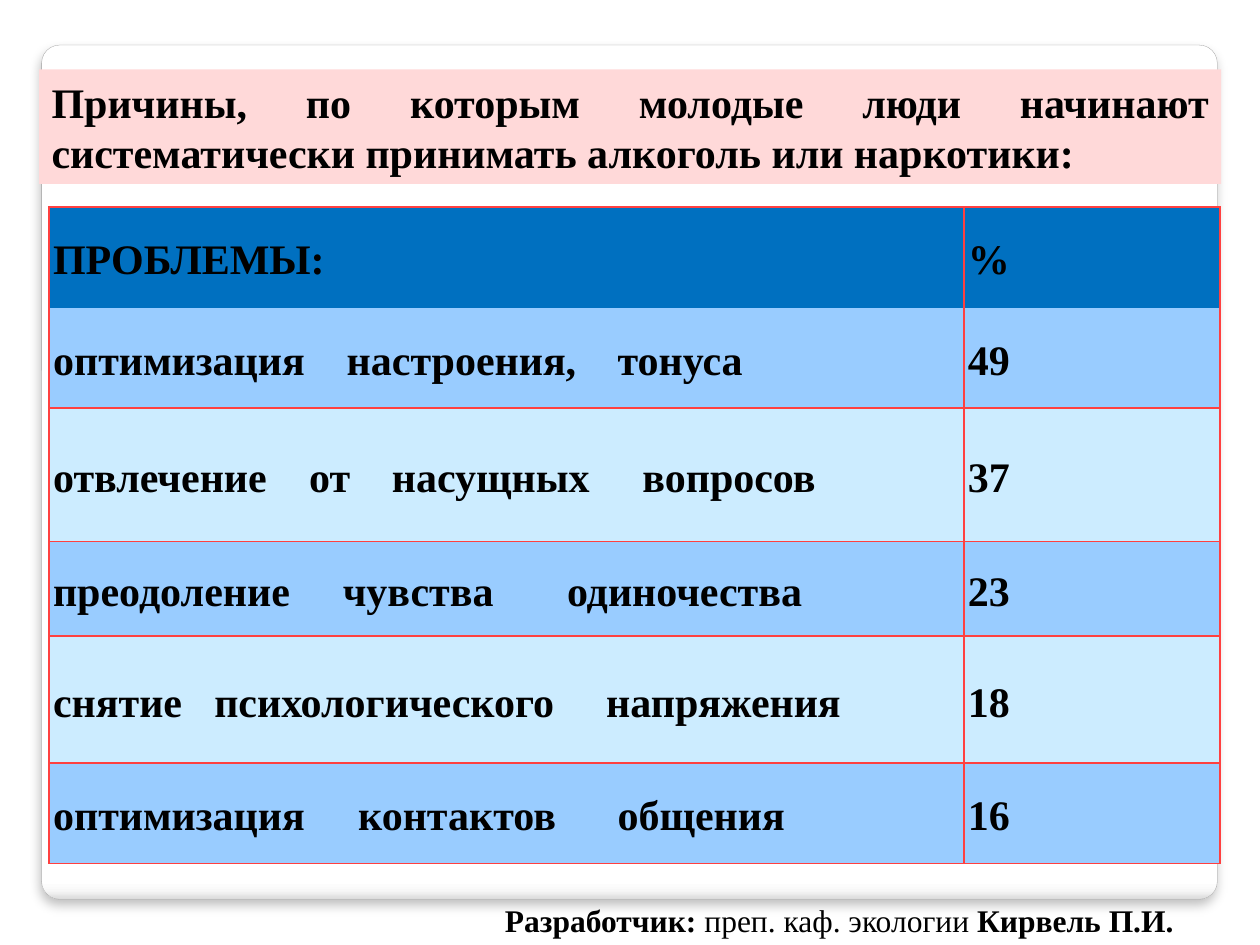
import dataclasses

import pptx
import pptx.dml.color
import pptx.enum.shapes
import pptx.enum.text
import pptx.oxml
import pptx.oxml.ns
import pptx.util
from pptx.util import Cm

NS = pptx.oxml.ns.nsdecls("a")
ANCHOR = pptx.enum.text.MSO_ANCHOR
KIND = pptx.enum.shapes.MSO_SHAPE
RED = "FF4040"
HEAD, DARK, LIGHT = "0070C0", "99CCFF", "CCECFF"


@dataclasses.dataclass
class Row:
    words: str
    share: str
    height: float
    stops: tuple = ()


# Words are set apart by tabs; stops are in centimetres
ROWS = [
    Row("ПРОБЛЕМЫ:", "%", 2.03),
    Row("оптимизация\tнастроения,\tтонуса", "49", 2.03, (5.92, 11.38)),
    Row("отвлечение\tот\tнасущных\tвопросов", "37", 2.69, (5.16, 6.83, 11.88)),
    Row("преодоление\tчувства\tодиночества", "23", 1.9, (5.84, 10.36)),
    Row("снятие\tпсихологического\tнапряжения", "18", 2.56, (3.25, 11.15)),
    Row("оптимизация\tконтактов\tобщения", "16", 2.03, (6.15, 11.38)),
]


def color(code: str):
    return pptx.dml.color.RGBColor.from_string(code)


def paint(item, code: str) -> None:
    item.fill.solid()
    item.fill.fore_color.rgb = color(code)


def write(part, text: str, *, size=24, bold=True, tint="000000") -> None:
    """Add a formatted run to a paragraph."""
    run = part.add_run()
    run.text = text
    run.font.name = "Times New Roman"
    run.font.size = pptx.util.Pt(size)
    run.font.bold = bold
    run.font.color.rgb = color(tint)


def edge(cell, side: str, shown: bool) -> None:
    fill = (f'<a:solidFill><a:srgbClr val="{RED}"/></a:solidFill>'
            if shown else "<a:noFill/>")
    cell._tc.get_or_add_tcPr().append(pptx.oxml.parse_xml(
        f'<a:ln{side} {NS} w="12700">{fill}</a:ln{side}>'))


def set_tabs(part, stops: tuple) -> None:
    marks = "".join(f'<a:tab pos="{Cm(stop)}" algn="l"/>' for stop in stops)
    part._p.get_or_add_pPr().append(
        pptx.oxml.parse_xml(f"<a:tabLst {NS}>{marks}</a:tabLst>"))


def draw_cell(cell, text: str, back: str, bare: str, stops: tuple) -> None:
    """Fill one cell; the side named by bare gets no border."""
    for side in "LRTB":
        edge(cell, side, side != bare)
    paint(cell, back)
    cell.vertical_anchor = ANCHOR.MIDDLE
    cell.margin_left = cell.margin_right = Cm(0.08)
    cell.margin_top = cell.margin_bottom = Cm(0.08)
    part = cell.text_frame.paragraphs[0]
    if stops:
        set_tabs(part, stops)
    part.line_spacing = 1.15
    part.space_after = pptx.util.Pt(10)
    write(part, text)


def draw_panel(slide) -> None:
    panel = slide.shapes.add_shape(
        KIND.ROUNDED_RECTANGLE, Cm(0.84), Cm(0.91), Cm(23.7), Cm(17.22))
    panel.adjustments[0] = 0.021
    panel.line.color.rgb = color("A4A4A4")
    panel.line.width = pptx.util.Pt(0.16)
    stops = [(0, "FFFFFF"), (98, "FFFFFF"), (99, "F7F7F7"), (100, "DADADA")]
    marks = "".join(f'<a:gs pos="{at * 1000}"><a:srgbClr val="{code}"/></a:gs>'
                    for at, code in stops)
    props = panel._element.spPr
    props.find(pptx.oxml.ns.qn("a:ln")).addprevious(pptx.oxml.parse_xml(
        f'<a:gradFill {NS}><a:gsLst>{marks}</a:gsLst>'
        '<a:lin ang="5400000" scaled="0"/></a:gradFill>'))
    props.append(pptx.oxml.parse_xml(
        f'<a:effectLst {NS}><a:outerShdw blurRad="76200" dist="50800" '
        'dir="5400000" rotWithShape="0"><a:srgbClr val="000000">'
        '<a:alpha val="25000"/></a:srgbClr></a:outerShdw></a:effectLst>'))


def draw_foot(slide) -> None:
    box = slide.shapes.add_textbox(Cm(9.93), Cm(18.03), Cm(14.1), Cm(1.02))
    frame = box.text_frame
    frame.word_wrap = True
    frame.margin_right = 0
    part = frame.paragraphs[0]
    write(part, "Разработчик:", size=18)
    write(part, " преп. каф. экологии ", size=18, bold=False)
    write(part, "Кирвель П.И.", size=18)


def draw_title(slide) -> None:
    band = slide.shapes.add_shape(
        KIND.RECTANGLE, Cm(0.79), Cm(1.4), Cm(23.83), Cm(2.31))
    band.shadow.inherit = False
    paint(band, "FFD9D9")
    band.line.fill.background()
    frame = band.text_frame
    frame.word_wrap = True
    frame.vertical_anchor = ANCHOR.MIDDLE
    part = frame.paragraphs[0]
    part.alignment = pptx.enum.text.PP_ALIGN.JUSTIFY
    write(part, "Причины, по которым молодые люди начинают "
                "систематически принимать алкоголь или наркотики:")


def draw_table(slide) -> None:
    widths = (18.44, 5.16)
    table = slide.shapes.add_table(
        len(ROWS), len(widths), Cm(0.99), Cm(4.17), Cm(sum(widths)),
        Cm(sum(row.height for row in ROWS))).table
    for col, width in zip(table.columns, widths):
        col.width = Cm(width)
    for num, row in enumerate(ROWS):
        table.rows[num].height = Cm(row.height)
        back = HEAD if num == 0 else DARK if num % 2 else LIGHT
        # No line between the head and the first row
        bare = {0: "B", 1: "T"}.get(num, "")
        draw_cell(table.cell(num, 0), row.words, back, bare, row.stops)
        draw_cell(table.cell(num, 1), row.share, back, bare, ())


def main() -> None:
    deck = pptx.Presentation()
    deck.slide_width, deck.slide_height = Cm(25.4), Cm(19.05)
    slide = deck.slides.add_slide(deck.slide_layouts[6])
    draw_panel(slide)
    draw_foot(slide)
    draw_title(slide)
    draw_table(slide)
    deck.save("out.pptx")


if __name__ == "__main__":
    main()
